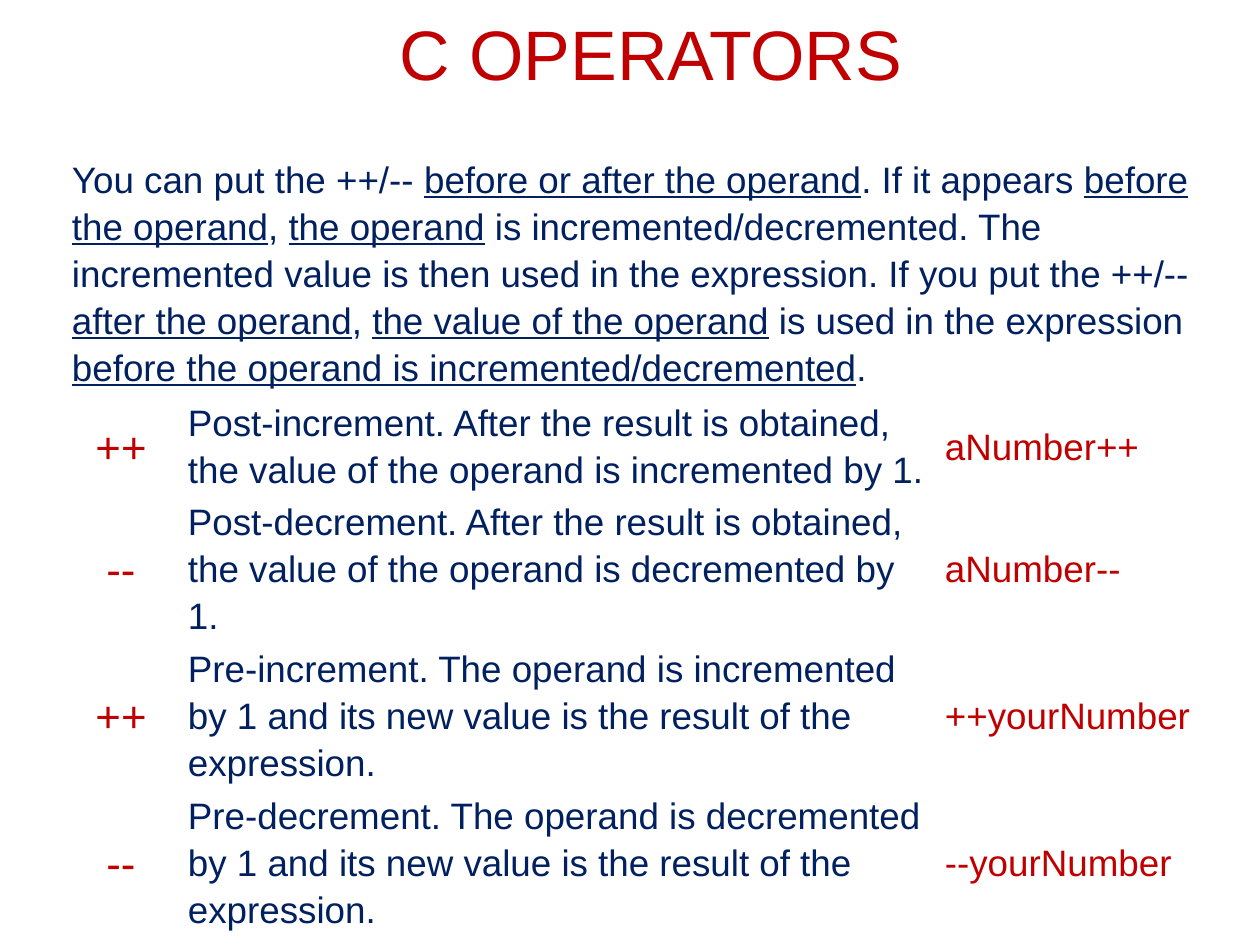
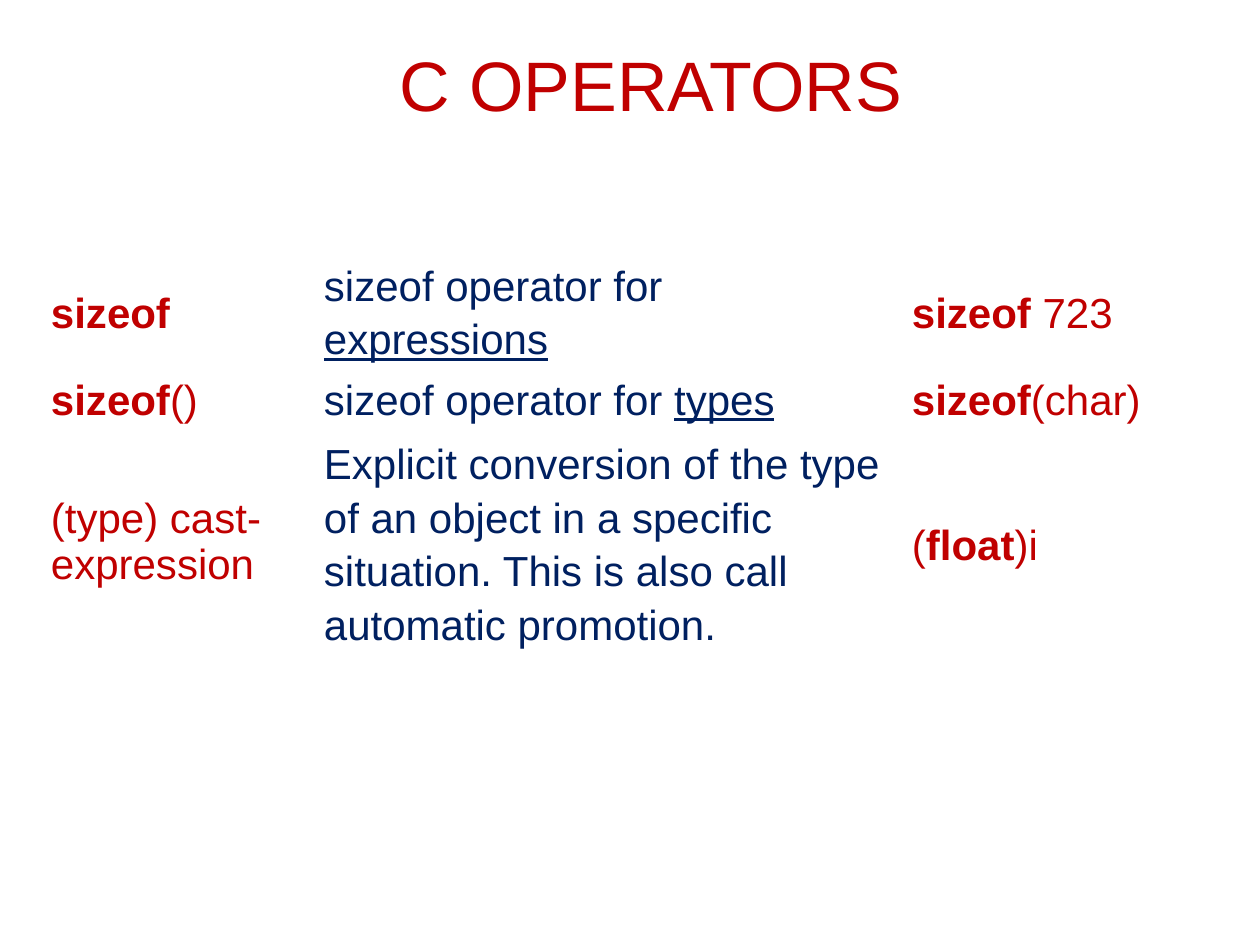
from pptx import Presentation
from pptx.dml.color import RGBColor
from pptx.enum.text import MSO_ANCHOR as Anchor, PP_ALIGN as Align
from pptx.util import Emu, Pt

PX = 914400 / 126
FONT = "Arial"
RED, NAVY = "C00000", "002060"
TITLE = "C OPERATORS"
TITLE_LEFT, TITLE_WIDTH, TITLE_HEIGHT, TITLE_SIZE = 84, 1134, 97, 40
CELL_MARGIN = 9
LINE_SPACING = 1.15
U, B = "underline", "bold"

# A text is a list of runs; a run is a string or a (string, style) pair.
INTRO = [
    "You can put the ++/-- ", ("before or after the operand", U),
    ". If it appears ", ("before the operand", U), ", ", ("the operand", U),
    " is incremented/decremented. The incremented value is then used in the "
    "expression. If you put the ++/-- ", ("after the operand", U), ", ",
    ("the value of the operand", U), " is used in the expression ",
    ("before the operand is incremented/decremented", U), ".",
]

SLIDES = [
    {
        "title_top": 4,
        "table_at": (63, 147),
        "columns": [116, 757, 292],
        "row_heights": [249, 97, 147, 147, 147],
        "intro": INTRO,
        "size": 21,
        "operator_size": 25,
        "operator_align": Align.CENTER,
        "operators": [
            (["++"],
             ["Post-increment. After the result is obtained, the value of the "
              "operand is incremented by 1."],
             ["aNumber++"]),
            (["--"],
             ["Post-decrement. After the result is obtained, the value of the "
              "operand is decremented by 1."],
             ["aNumber--"]),
            (["++"],
             ["Pre-increment. The operand is incremented by 1 and its new value "
              "is the result of the expression."],
             ["++yourNumber"]),
            (["--"],
             ["Pre-decrement. The operand is decremented by 1 and its new value "
              "is the result of the expression."],
             ["--yourNumber"]),
        ],
    },
    {
        "title_top": 35,
        "table_at": (42, 252),
        "columns": [273, 588, 336],
        "row_heights": [116, 58, 232],
        "intro": None,
        "size": 24,
        "operator_size": 24,
        "operator_align": Align.LEFT,
        "single_spaced": ["(type) cast-expression"],
        "operators": [
            ([("sizeof", B)],
             ["sizeof operator for ", ("expressions", U)],
             [("sizeof", B), " 723"]),
            ([("sizeof", B), "()"],
             ["sizeof operator for ", ("types", U)],
             [("sizeof", B), "(char)"]),
            (["(type) cast-expression"],
             ["Explicit conversion of the type of an object in a specific "
              "situation. This is also call automatic promotion."],
             ["(", ("float", B), ")i"]),
        ],
    },
]


def px(length):
    return Emu(round(length * PX))


def rgb(color):
    return RGBColor.from_string(color)


def write(paragraph, runs, size, color, align=Align.LEFT):
    paragraph.alignment = align
    for part in runs:
        text, style = (part, None) if isinstance(part, str) else part
        run = paragraph.add_run()
        run.text = text
        font = run.font
        font.name, font.size = FONT, Pt(size)
        font.color.rgb = rgb(color)
        font.bold = style == B
        font.underline = style == U


def add_title(slide, top):
    box = slide.shapes.add_textbox(
        px(TITLE_LEFT), px(top), px(TITLE_WIDTH), px(TITLE_HEIGHT))
    frame = box.text_frame
    frame.word_wrap = True
    frame.vertical_anchor = Anchor.MIDDLE
    write(frame.paragraphs[0], [TITLE], TITLE_SIZE, RED, Align.CENTER)


def fill_cell(cell, runs, size, color, align=Align.LEFT, spacing=LINE_SPACING):
    cell.vertical_anchor = Anchor.MIDDLE
    cell.margin_left = cell.margin_right = px(CELL_MARGIN)
    cell.margin_top = cell.margin_bottom = 0
    paragraph = cell.text_frame.paragraphs[0]
    paragraph.line_spacing = spacing
    write(paragraph, runs, size, color, align)


def add_operator_table(slide, content):
    columns, heights = content["columns"], content["row_heights"]
    left, top = content["table_at"]
    table = slide.shapes.add_table(
        len(heights), len(columns), px(left), px(top),
        px(sum(columns)), px(sum(heights))).table
    table.first_row = table.horz_banding = False
    for column, width in zip(table.columns, columns):
        column.width = px(width)
    for row, height in zip(table.rows, heights):
        row.height = px(height)
    for cell in table.iter_cells():
        cell.fill.background()

    size = content["size"]
    first_operator = 0
    if content["intro"]:
        first_operator = 1
        intro = table.cell(0, 0)
        intro.merge(table.cell(0, len(columns) - 1))
        fill_cell(intro, content["intro"], size, NAVY)
    for row, (operator, meaning, example) in enumerate(
            content["operators"], first_operator):
        spacing = 1.0 if operator == content.get("single_spaced") else LINE_SPACING
        fill_cell(table.cell(row, 0), operator, content["operator_size"], RED,
                  content["operator_align"], spacing)
        fill_cell(table.cell(row, 1), meaning, size, NAVY)
        fill_cell(table.cell(row, 2), example, size, RED)


def main():
    deck = Presentation()
    deck.slide_width, deck.slide_height = px(1260), px(945)
    blank = deck.slide_layouts[6]
    for content in SLIDES:
        slide = deck.slides.add_slide(blank)
        add_operator_table(slide, content)
        add_title(slide, content["title_top"])
    deck.save("out.pptx")


if __name__ == "__main__":
    main()
